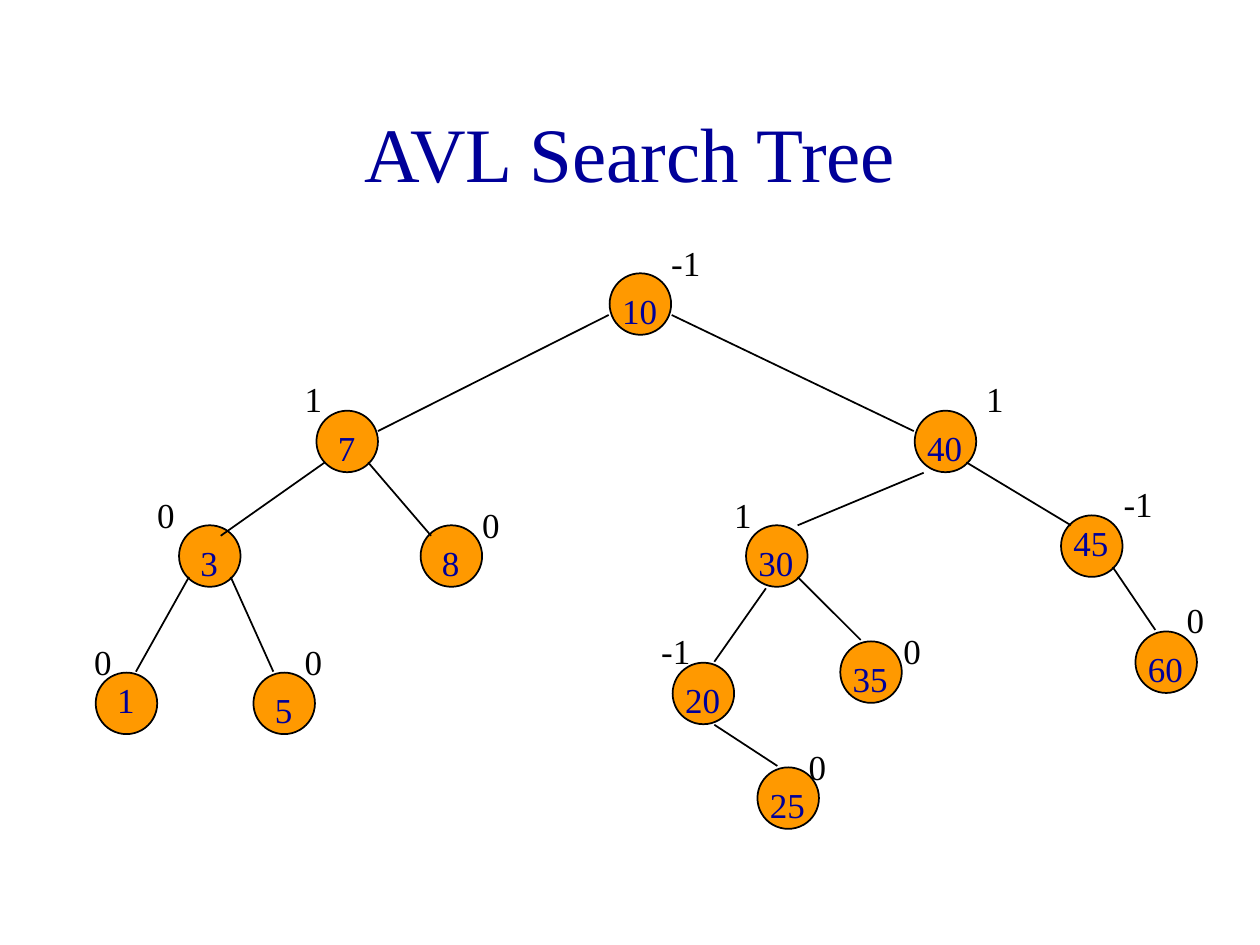
"""Build a slide showing an AVL search tree with its balance factors."""
from lxml import etree
from pptx import Presentation
from pptx import util as u
from pptx.dml.color import RGBColor
from pptx.enum import shapes, text
from pptx.oxml.ns import qn

NAVY, BLACK, ORANGE = "000099", "000000", "FF9900"
FONT = "Times New Roman"
SIZE = 1.24


def paint(fmt, hue):
    if hasattr(fmt, "solid"):
        fmt.solid()
        fmt.fore_color.rgb = RGBColor.from_string(hue)
    else:
        fmt.color.rgb = RGBColor.from_string(hue)


def write(words, left, top, wide, high, size, hue, wrap=True):
    box = slide.shapes.add_textbox(u.Cm(left), u.Cm(top), u.Cm(wide), u.Cm(high))
    frame = box.text_frame
    frame.text = words
    frame.word_wrap = wrap
    font = frame.paragraphs[0].runs[0].font
    font.name, font.size = FONT, u.Pt(size)
    paint(font, hue)
    return frame


deck = Presentation()
deck.slide_width, deck.slide_height = u.Cm(25.4), u.Cm(19.05)
slide = deck.slides.add_slide(deck.slide_layouts[6])

title = write("AVL Search Tree", 1.91, 1.47, 21.59, 3.18, 44, NAVY)
title.vertical_anchor = text.MSO_ANCHOR.MIDDLE
title.paragraphs[0].alignment = text.PP_ALIGN.CENTER

# key, left, top, key drop, balance, balance left, balance top
nodes = [
    ("10", 12.29, 5.51, 0.2, "-1", 13.28, 4.75),
    ("7", 6.38, 8.28, 0.2, "1", 5.89, 7.49),
    ("40", 18.44, 8.28, 0.2, "1", 19.63, 7.49),
    ("3", 3.61, 10.59, 0.2, "0", 2.92, 9.83),
    ("8", 8.48, 10.59, 0.2, "0", 9.47, 10.03),
    ("30", 15.04, 10.59, 0.2, "1", 14.55, 9.83),
    ("45", 21.39, 10.39, 0, "-1", 22.4, 9.6),
    ("1", 1.93, 13.56, 0, "0", 1.65, 12.78),
    ("5", 5.11, 13.56, 0.2, "0", 5.89, 12.78),
    ("20", 13.56, 13.36, 0.2, "-1", 13.08, 12.57),
    ("35", 16.94, 12.93, 0.2, "0", 17.96, 12.57),
    ("60", 22.89, 12.73, 0.2, "0", 23.67, 11.94),
    ("25", 15.27, 15.47, 0.2, "0", 16.05, 14.91),
]
edges = [
    (12.27, 6.35, 7.62, 8.69),
    (13.54, 6.35, 18.42, 8.69),
    (6.55, 9.32, 4.45, 10.8),
    (7.42, 9.32, 8.69, 10.8),
    (18.62, 9.53, 16.08, 10.59),
    (19.48, 9.32, 21.59, 10.59),
    (3.81, 11.63, 2.74, 13.54),
    (4.65, 11.63, 5.51, 13.54),
    (15.44, 11.86, 14.4, 13.34),
    (16.08, 11.63, 17.35, 12.9),
    (22.43, 11.43, 23.29, 12.7),
    (14.4, 14.61, 15.67, 15.44),
]

for key, left, top, *rest in nodes:
    disc = slide.shapes.add_shape(
        shapes.MSO_SHAPE.OVAL, u.Cm(left), u.Cm(top), u.Cm(SIZE), u.Cm(SIZE))
    disc.shadow.inherit = False
    paint(disc.fill, ORANGE)
    paint(disc.line, BLACK)
    disc.line.width = u.Pt(1)

for ends in edges:
    edge = slide.shapes.add_connector(
        shapes.MSO_CONNECTOR.STRAIGHT, *[u.Cm(end) for end in ends])
    paint(edge.line, BLACK)
    edge.line.width = u.Pt(1)
    etree.SubElement(edge._element.spPr, qn("a:effectLst"))

for key, left, top, drop, bal, side, rise in nodes:
    shift = 0.18 if len(key) == 1 else 0
    write(key, left + shift, top + drop, 1.27, 1.09, 20, NAVY)
    wide = 0.86 if len(bal) == 1 else 1.09
    write(bal, side, rise, wide, 1.09, 20, BLACK, wrap=False)

deck.save("out.pptx")
